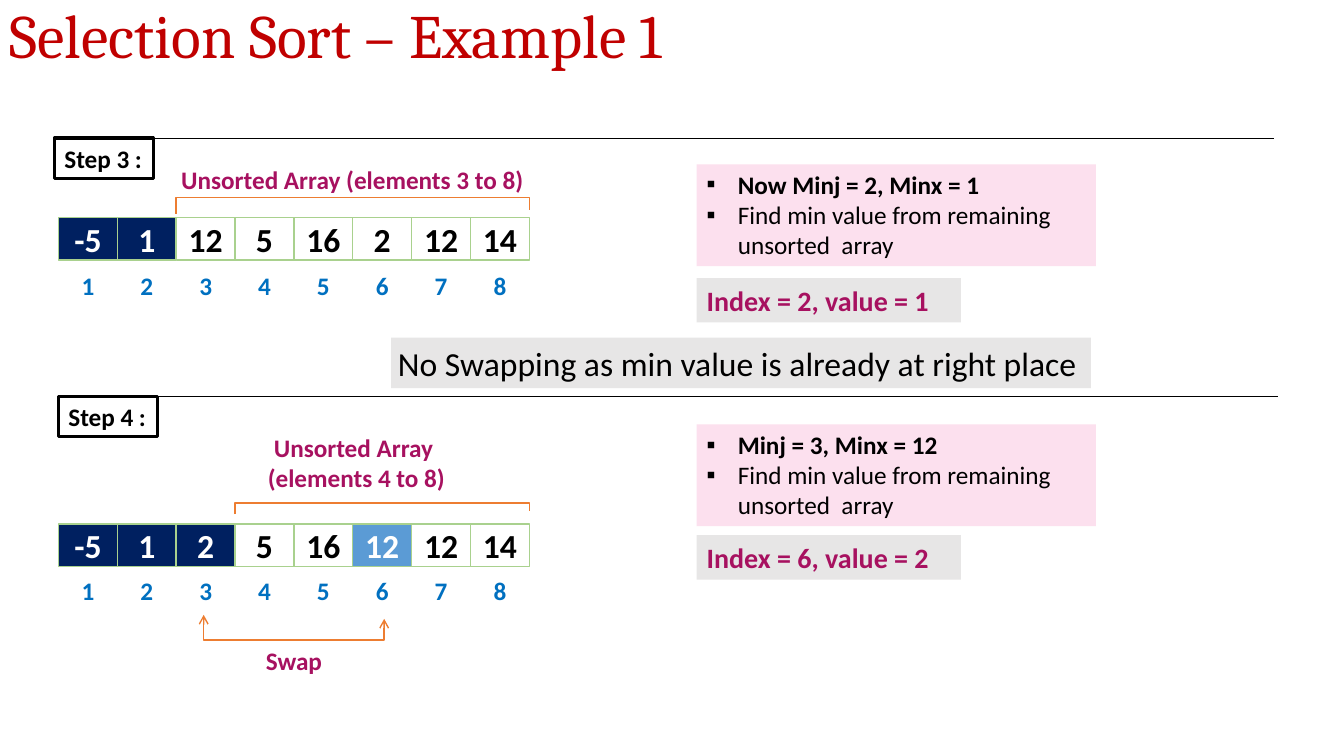
from lxml import etree
from pptx import Presentation
from pptx.dml.color import RGBColor
from pptx.enum.shapes import MSO_CONNECTOR, MSO_SHAPE
from pptx.enum.text import MSO_ANCHOR, PP_ALIGN
from pptx.oxml.ns import qn
from pptx.util import Inches, Pt

RECTANGLE = MSO_SHAPE.RECTANGLE
STRAIGHT = MSO_CONNECTOR.STRAIGHT
LEFT, CENTER = PP_ALIGN.LEFT, PP_ALIGN.CENTER
TOP, MIDDLE = MSO_ANCHOR.TOP, MSO_ANCHOR.MIDDLE

BLACK, WHITE, NAVY, BLUE = "000000", "FFFFFF", "002060", "5B9BD5"
GREEN, ORANGE, INDEX_BLUE, MAGENTA = "A9D18E", "ED7D31", "0070C0", "A71160"
PINK, GREY, RED = "FCE0EE", "E7E6E6", "C00000"

TITLE = "Selection Sort – Example 1"
NO_SWAP = "No Swapping as min value is already at right place "
FIND_MIN = "Find min value from remaining unsorted  array"
STEPS = [
    {
        "label": "Step 3 :", "corner": (0.54, 1.37),
        "values": [-5, 1, 12, 5, 16, 2, 12, 14], "sorted": 2, "minimum": None,
        "array_top": 2.16, "index_top": 2.62,
        "caption": ["Unsorted Array (elements 3 to 8)"],
        "caption_box": (1.62, 1.58, 3.75, 0.4),
        "bracket": (2.12, 1.96, 2.08),
        "state": "Now Minj = 2, Minx = 1", "notes_top": 1.63,
        "result": "Index = 2, value = 1", "result_top": 2.76,
    },
    {
        "label": "Step 4 :", "corner": (0.58, 3.93),
        "values": [-5, 1, 2, 5, 16, 12, 12, 14], "sorted": 3, "minimum": 5,
        "array_top": 5.2, "index_top": 5.65,
        "caption": ["Unsorted Array ", "(elements 4 to 8)"],
        "caption_box": (1.66, 4.24, 3.75, 0.71),
        "bracket": (5.1, 4.99, 5.07),
        "state": "Minj = 3, Minx = 12", "notes_top": 4.21,
        "result": "Index = 6, value = 2", "result_top": 5.31,
    },
]
SWAP_PATH = [(2.02, 6.1), (2.02, 6.35), (3.81, 6.35), (3.81, 6.14)]

ARRAY_LEFT, ARRAY_WIDTH, CELL_HEIGHT = 0.58, 4.67, 0.42
RULE_WIDTH = 12.1
NOTES_LEFT = 6.91

presentation = Presentation()
presentation.slide_width = Inches(13.33)
presentation.slide_height = Inches(7.5)
slide = presentation.slides.add_slide(presentation.slide_layouts[6])


def color(value):
    return RGBColor.from_string(value)


def add_bullet(paragraph):
    properties = paragraph._p.get_or_add_pPr()
    properties.set("marL", str(Inches(0.31)))
    properties.set("indent", str(-Inches(0.31)))
    etree.SubElement(properties, qn("a:buFont")).set("typeface", "Calibri")
    etree.SubElement(properties, qn("a:buChar")).set("char", "▪")


def write(shape, lines, size=18, ink=BLACK, bold=True, font="Calibri", align=LEFT,
          anchor=TOP, wrap=True, spacing=None, bullets=False):
    frame = shape.text_frame
    frame.word_wrap = wrap
    frame.vertical_anchor = anchor
    for number, line in enumerate(lines):
        paragraph = frame.add_paragraph() if number else frame.paragraphs[0]
        paragraph.alignment = align
        if spacing:
            paragraph.line_spacing = spacing
        if bullets:
            add_bullet(paragraph)
        run = paragraph.add_run()
        run.text = line
        run.font.name = font
        run.font.size = Pt(size)
        run.font.bold = bold and not (bullets and number)
        run.font.color.rgb = color(ink)


def add_box(box, lines, fill=None, border=None, border_width=1, **text_format):
    shape = slide.shapes.add_shape(RECTANGLE, *map(Inches, box))
    shape.shadow.inherit = False
    if fill:
        shape.fill.solid()
        shape.fill.fore_color.rgb = color(fill)
    else:
        shape.fill.background()
    if border:
        shape.line.color.rgb = color(border)
        shape.line.width = Pt(border_width)
    else:
        shape.line.fill.background()
    write(shape, lines, **text_format)


def add_label(box, lines, **text_format):
    write(slide.shapes.add_textbox(*map(Inches, box)), lines, **text_format)


def add_open_path(points, arrows=False):
    start, *rest = [(Inches(x), Inches(y)) for x, y in points]
    builder = slide.shapes.build_freeform(*start)
    builder.add_line_segments(rest, close=False)
    shape = builder.convert_to_shape()
    shape.shadow.inherit = False
    shape.fill.background()
    shape.line.color.rgb = color(ORANGE)
    shape.line.width = Pt(1)
    if arrows:
        line = shape._element.spPr.find(qn("a:ln"))
        for end in ("a:headEnd", "a:tailEnd"):
            etree.SubElement(line, qn(end)).set("type", "arrow")


def add_rule(left, top):
    rule = slide.shapes.add_connector(
        STRAIGHT, Inches(left), Inches(top), Inches(left + RULE_WIDTH), Inches(top))
    rule.line.color.rgb = color(BLACK)
    rule.line.width = Pt(0.5)
    etree.SubElement(rule._element.spPr, qn("a:effectLst"))


def add_array(step):
    cell_width = ARRAY_WIDTH / len(step["values"])
    for position, value in enumerate(step["values"]):
        left = ARRAY_LEFT + position * cell_width
        fill = NAVY if position < step["sorted"] else WHITE
        if position == step["minimum"]:
            fill = BLUE
        add_box((left, step["array_top"], cell_width, CELL_HEIGHT), [str(value)],
                fill=fill, border=GREEN, size=24, align=CENTER, anchor=MIDDLE,
                ink=BLACK if fill == WHITE else WHITE)
        add_box((left, step["index_top"], cell_width, CELL_HEIGHT), [str(position + 1)],
                fill=WHITE, ink=INDEX_BLUE, align=CENTER, anchor=MIDDLE)
    left = ARRAY_LEFT + step["sorted"] * cell_width
    right = ARRAY_LEFT + ARRAY_WIDTH
    left_foot, bar, right_foot = step["bracket"]
    add_open_path([(left, left_foot), (left, bar), (right, bar), (right, right_foot)])


def add_step(step):
    add_rule(*step["corner"])
    add_box((*step["corner"], 0.98, 0.4), [step["label"]],
            border=BLACK, border_width=2.25, wrap=False)
    add_array(step)
    add_label(step["caption_box"], step["caption"], ink=MAGENTA, align=CENTER)
    add_box((NOTES_LEFT, step["notes_top"], 3.96, 1.01), [step["state"], FIND_MIN],
            fill=PINK, bullets=True)
    add_box((NOTES_LEFT, step["result_top"], 2.62, 0.44), [step["result"]],
            fill=GREY, size=20, ink=MAGENTA)


add_label((0, 0, 13.33, 0.78), [TITLE], size=44, font="Cambria", ink=RED,
          bold=False, spacing=0.9)
for step in STEPS:
    add_step(step)
add_box((3.88, 3.35, 6.94, 0.5), [NO_SWAP], fill=GREY, size=24, bold=False,
        align=CENTER, wrap=False)
add_open_path(SWAP_PATH, arrows=True)
add_label((2.42, 6.35, 0.99, 0.4), ["Swap"], ink=MAGENTA, align=CENTER)

presentation.save("out.pptx")
